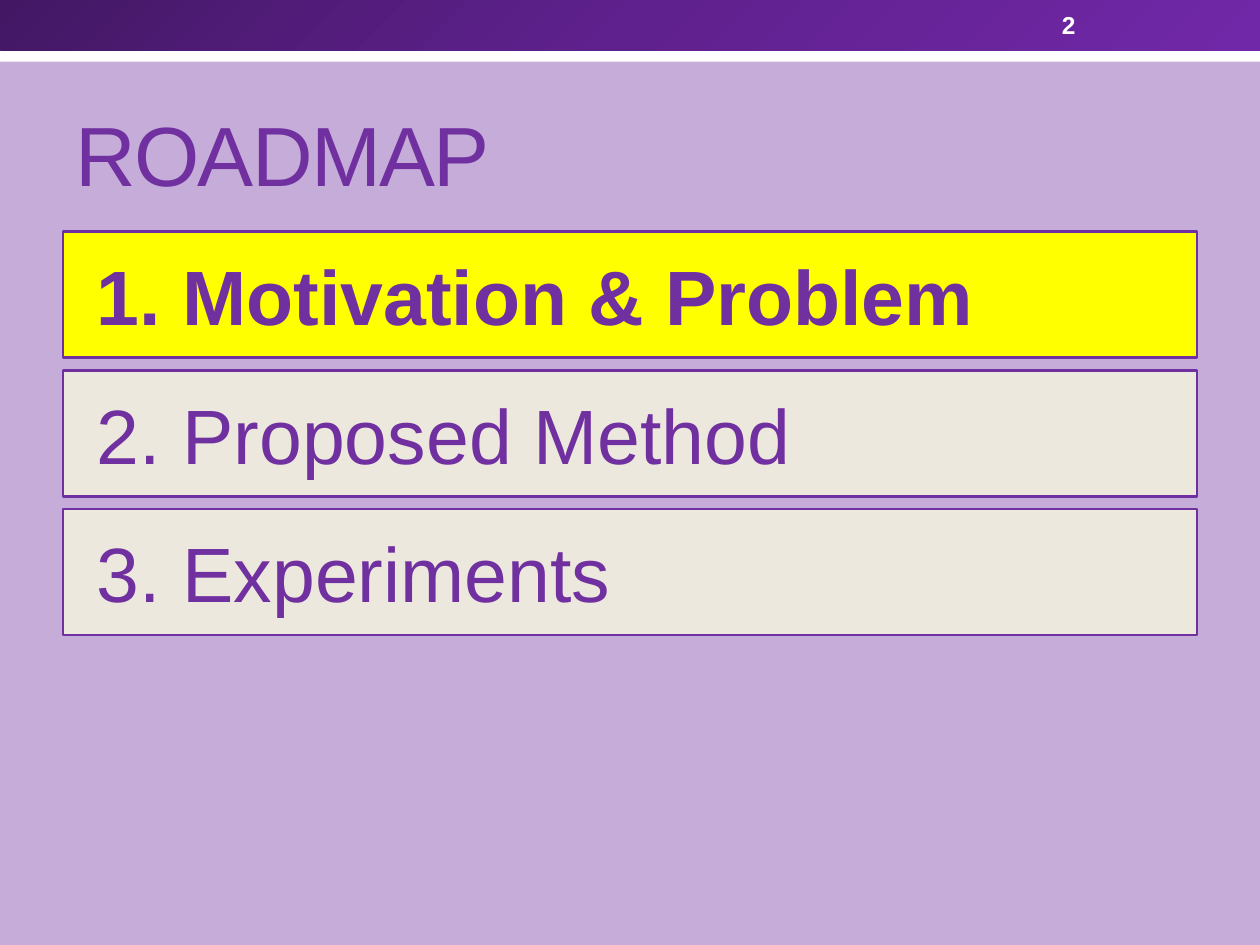
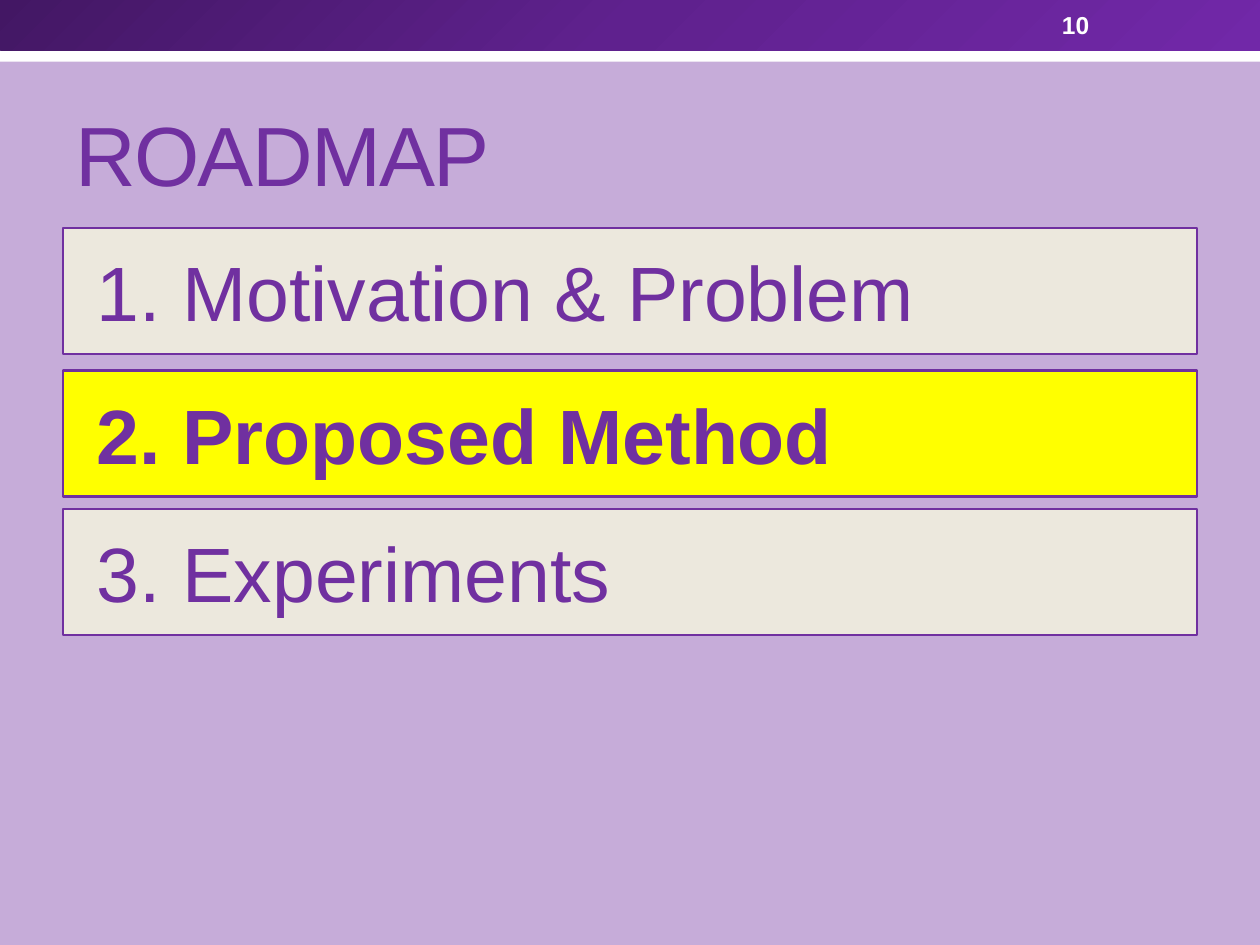
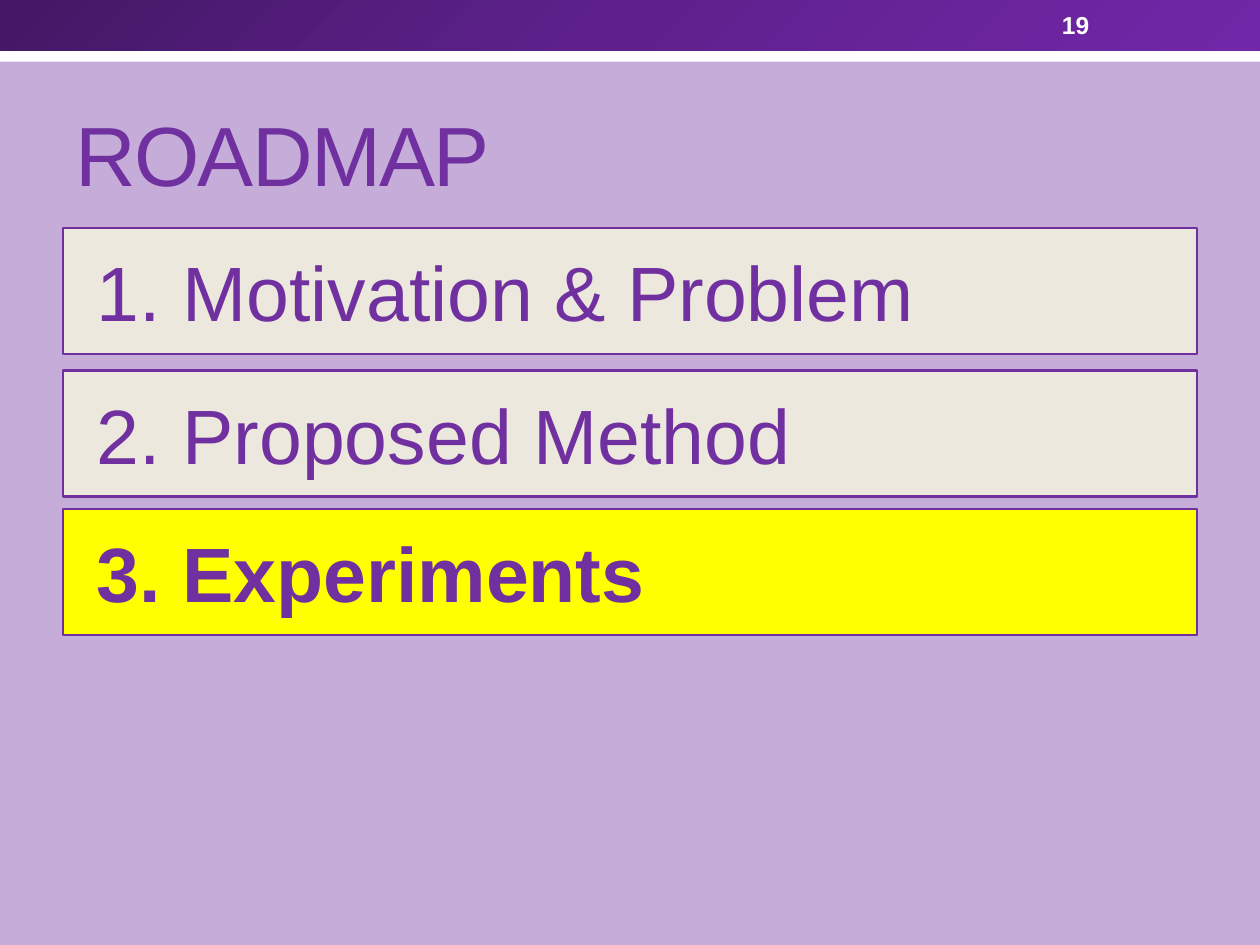
from lxml import etree
from pptx import Presentation
from pptx.dml.color import RGBColor
from pptx.enum import shapes, text
from pptx.oxml.ns import qn
from pptx.util import Inches, Pt

PURPLE = RGBColor(0x70, 0x30, 0xA0)
LILAC = RGBColor(0xC6, 0xAC, 0xD9)
YELLOW = RGBColor(0xFF, 0xFF, 0x00)
CREAM = RGBColor(0xEC, 0xE8, 0xDD)
WHITE = RGBColor(0xFF, 0xFF, 0xFF)
BAND_STOPS = {
    0: RGBColor(0x43, 0x17, 0x64),
    50: RGBColor(0x5F, 0x21, 0x8E),
    100: RGBColor(0x71, 0x28, 0xA8),
}

TOPICS = ["1. Motivation & Problem", "2. Proposed Method", "3. Experiments"]
ACTIVE_TOPS = [1.84, 2.94, 4.04]
INACTIVE_TOPS = [1.81, 2.94, 4.04]
ROADMAPS = [(2, 0), (10, 1), (19, 2)]


class Deck:
    font_name = "Arial"

    def __init__(self):
        self.presentation = Presentation()
        self.presentation.slide_width = Inches(10)
        self.presentation.slide_height = Inches(7.5)
        self.slide = None

    def new_slide(self):
        layout = self.presentation.slide_layouts[6]
        self.slide = self.presentation.slides.add_slide(layout)
        fill = self.slide.background.fill
        fill.solid()
        fill.fore_color.rgb = LILAC

    def rectangle(self, box, color=None, outline=None):
        shape = self.slide.shapes.add_shape(
            shapes.MSO_SHAPE.RECTANGLE, *map(Inches, box))
        shape.shadow.inherit = False
        if color is not None:
            shape.fill.solid()
            shape.fill.fore_color.rgb = color
        if outline is None:
            shape.line.fill.background()
        else:
            shape.line.color.rgb = outline
            shape.line.width = Pt(1.5)
        return shape

    def gradient_band(self, box):
        shape = self.rectangle(box)
        shape.fill.gradient()
        shape.fill.gradient_angle = 315
        stops = shape._element.spPr.find(qn("a:gradFill")).find(qn("a:gsLst"))
        for stop in list(stops):
            stops.remove(stop)
        for percent, color in BAND_STOPS.items():
            stop = etree.SubElement(stops, qn("a:gs"), pos=str(percent * 1000))
            etree.SubElement(stop, qn("a:srgbClr"), val=str(color))

    def add_words(self, shape, words, color, anchor, left=0.1, spacing=0, **formats):
        frame = shape.text_frame
        frame.word_wrap = True
        frame.vertical_anchor = anchor
        frame.margin_left = Inches(left)
        paragraph = frame.paragraphs[0]
        paragraph.alignment = text.PP_ALIGN.LEFT
        run = paragraph.add_run()
        run.text = words
        for name, value in {"name": self.font_name, **formats}.items():
            setattr(run.font, name, value)
        run.font.color.rgb = color
        if spacing:
            run._r.get_or_add_rPr().set("spc", str(spacing * 100))

    def label(self, box, words, color, anchor, **formats):
        shape = self.slide.shapes.add_textbox(*map(Inches, box))
        self.add_words(shape, words, color, anchor, **formats)

    def header(self, number):
        self.rectangle((0, 0.24, 10, 0.25), WHITE)
        self.gradient_band((0, 0, 10, 0.4))
        self.label((8.33, 0.02, 1.17, 0.36), str(number), WHITE,
                   text.MSO_ANCHOR.MIDDLE, size=Pt(14), bold=True)

    def title(self, words):
        self.label((0.5, 0.58, 9, 1.08), words, PURPLE,
                   text.MSO_ANCHOR.BOTTOM, spacing=-1, size=Pt(48))

    def topic(self, top, words, active):
        shape = self.rectangle((0.5, top, 9, 1), YELLOW if active else CREAM, PURPLE)
        self.add_words(shape, words, PURPLE, text.MSO_ANCHOR.MIDDLE,
                       left=0.27, size=Pt(44), bold=active)


def main():
    deck = Deck()
    for number, current in ROADMAPS:
        deck.new_slide()
        deck.header(number)
        deck.title("ROADMAP")
        for index, words in enumerate(TOPICS):
            active = index == current
            tops = ACTIVE_TOPS if active else INACTIVE_TOPS
            deck.topic(tops[index], words, active)
    deck.presentation.save("out.pptx")


if __name__ == "__main__":
    main()
